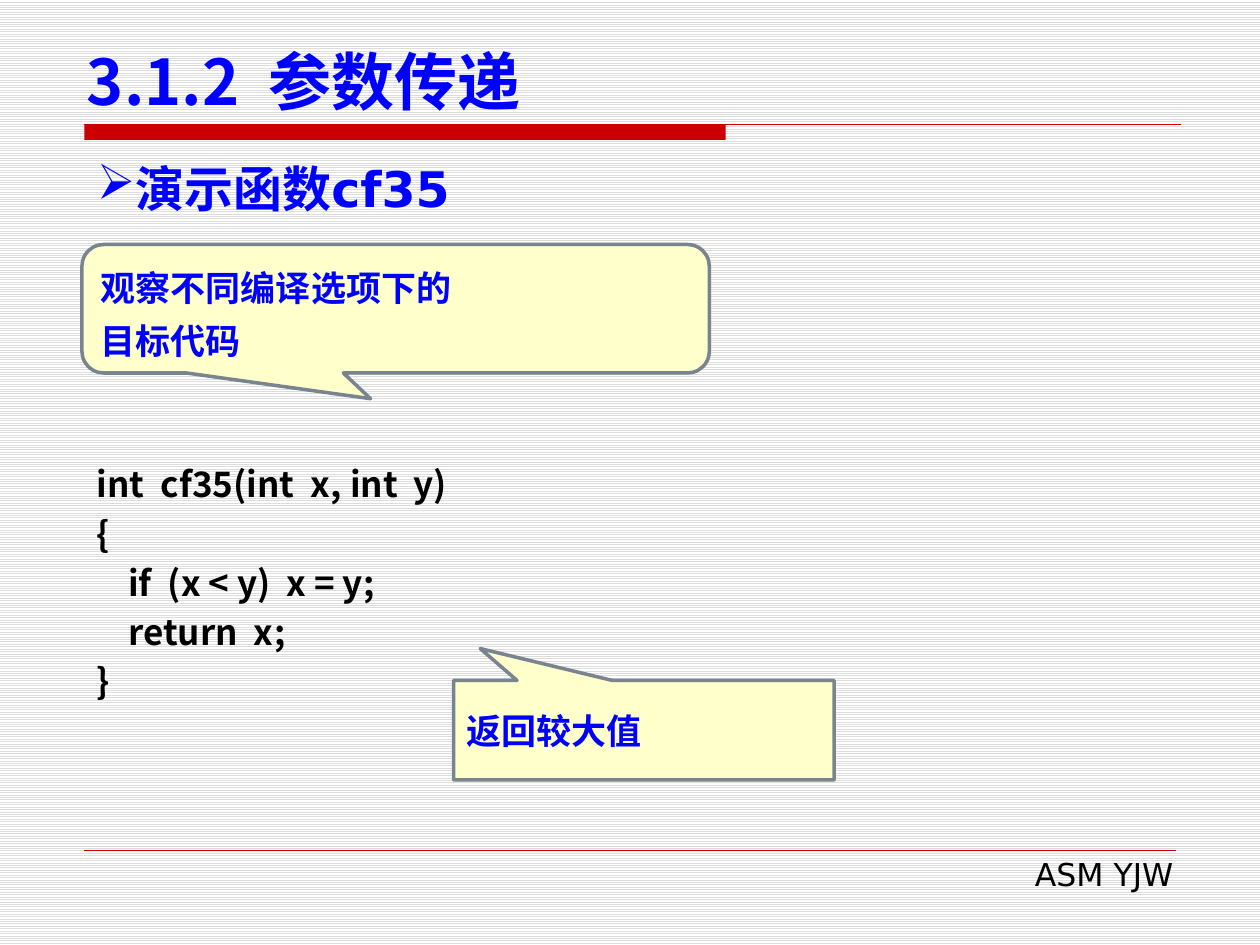
from lxml.etree import SubElement
from pptx import Presentation
from pptx.dml.color import RGBColor
from pptx.enum.dml import MSO_PATTERN_TYPE as Pattern
from pptx.enum.shapes import MSO_CONNECTOR, MSO_SHAPE
from pptx.enum.text import MSO_ANCHOR as Anchor, PP_ALIGN as Align
from pptx.oxml.ns import qn
from pptx.util import Inches, Pt

BLUE = RGBColor(0x00, 0x00, 0xFF)
RED = RGBColor(0xCC, 0x00, 0x00)
BLACK = RGBColor(0x00, 0x00, 0x00)
WHITE = RGBColor(0xFF, 0xFF, 0xFF)
STRIPE = RGBColor(0xDD, 0xDD, 0xDD)
CREAM = RGBColor(0xFF, 0xFF, 0xCC)
SLATE = RGBColor(0x79, 0x84, 0x8F)

SANS = "DejaVu Sans"
CJK = "Noto Sans CJK SC"

WIDTH, HEIGHT = Inches(10), Inches(7.5)
COLUMN, ROW = WIDTH // 100, HEIGHT // 75
LEFT = 6.7
RULE_TOP = 9.9


def place(left, top, width, height):
    return (round(left * COLUMN), round(top * ROW),
            round(width * COLUMN), round(height * ROW))


def write(frame, lines, size, color, font=SANS, bold=True, align=Align.LEFT,
          anchor=Anchor.TOP, spacing=None):
    frame.word_wrap = True
    frame.vertical_anchor = anchor
    for index, line in enumerate(lines):
        para = frame.add_paragraph() if index else frame.paragraphs[0]
        para.text = line
        para.alignment = align
        if spacing:
            para.line_spacing = Pt(spacing)
        para.font.size = Pt(size)
        para.font.bold = bold
        para.font.color.rgb = color
        para.font.name = font
        defaults = para._p.pPr.find(qn("a:defRPr"))
        SubElement(defaults, qn("a:ea"), typeface=CJK)


def add_text(page, spot, lines, size, color, **style):
    box = page.shapes.add_textbox(*place(*spot))
    write(box.text_frame, lines, size, color, **style)
    return box.text_frame


def add_rule(page, left, right, top, weight):
    start_x, start_y, span, _ = place(left, top, right - left, 0)
    rule = page.shapes.add_connector(
        MSO_CONNECTOR.STRAIGHT, start_x, start_y, start_x + span, start_y)
    rule.line.color.rgb = RED
    rule.line.width = Pt(weight)
    SubElement(rule._element.spPr, qn("a:effectLst"))


def add_bar(page, spot):
    bar = page.shapes.add_shape(MSO_SHAPE.RECTANGLE, *place(*spot))
    bar.shadow.inherit = False
    bar.fill.solid()
    bar.fill.fore_color.rgb = RED
    bar.line.fill.background()


def add_callout(page, kind, spot, adjustments, lines, spacing=None):
    callout = page.shapes.add_shape(kind, *place(*spot))
    callout.shadow.inherit = False
    for index, value in enumerate(adjustments):
        callout.adjustments[index] = value
    callout.fill.solid()
    callout.fill.fore_color.rgb = CREAM
    callout.line.color.rgb = SLATE
    callout.line.width = Pt(2)
    write(callout.text_frame, lines, 20, BLUE,
          anchor=Anchor.MIDDLE, spacing=spacing)


def add_bullet(para, symbol):
    bullet = para._p.pPr.makeelement(qn("a:buChar"), {"char": symbol})
    para._p.pPr.find(qn("a:defRPr")).addprevious(bullet)


def set_background(page):
    fill = page.background.fill
    fill.patterned()
    fill.pattern = Pattern.LIGHT_HORIZONTAL
    fill.fore_color.rgb = STRIPE
    fill.back_color.rgb = WHITE


def set_title(page, spot, text):
    title = page.shapes.title
    title.left, title.top, title.width, title.height = place(*spot)
    write(title.text_frame, [text], 36, BLUE, font=CJK, anchor=Anchor.BOTTOM)


def main():
    deck = Presentation()
    deck.slide_width, deck.slide_height = WIDTH, HEIGHT
    page = deck.slides.add_slide(deck.slide_layouts[5])
    set_background(page)

    add_bar(page, (LEFT, RULE_TOP, 50.9, 1.2))
    add_rule(page, LEFT, 93.7, RULE_TOP, 0.75)
    add_rule(page, LEFT, 93.3, 67.5, 0.25)
    add_text(page, (38.2, 67.4, 55.9, 4), ["ASM YJW"], 18, BLACK,
             bold=False, align=Align.RIGHT)

    set_title(page, (5.9, 2.8, 90.6, 7.1), "3.1.2  参数传递")
    topic = add_text(page, (LEFT, 12.1, 86.6, 5.7), ["演示函数cf35"], 28, BLUE,
                     align=Align.JUSTIFY)
    add_bullet(topic.paragraphs[0], "➢")

    code = add_text(page, (LEFT, 35.7, 88.9, 20.6), [
        "int  cf35(int  x, int  y)",
        "{",
        "if  (x < y)  x = y;",
        "return  x;",
        "}",
    ], 20, BLACK, font=CJK, spacing=28)
    for para in code.paragraphs[2:4]:
        para._p.pPr.set("marL", str(Inches(0.25)))

    add_callout(page, MSO_SHAPE.ROUNDED_RECTANGULAR_CALLOUT,
                (6.5, 19.4, 49.8, 10.2), (-0.04, 0.7, 0.17),
                ["观察不同编译选项下的", "目标代码"], spacing=30)
    add_callout(page, MSO_SHAPE.RECTANGULAR_CALLOUT,
                (36, 54, 30.2, 7.9), (-0.43, -0.82), ["返回较大值"])

    deck.save("out.pptx")


if __name__ == "__main__":
    main()
